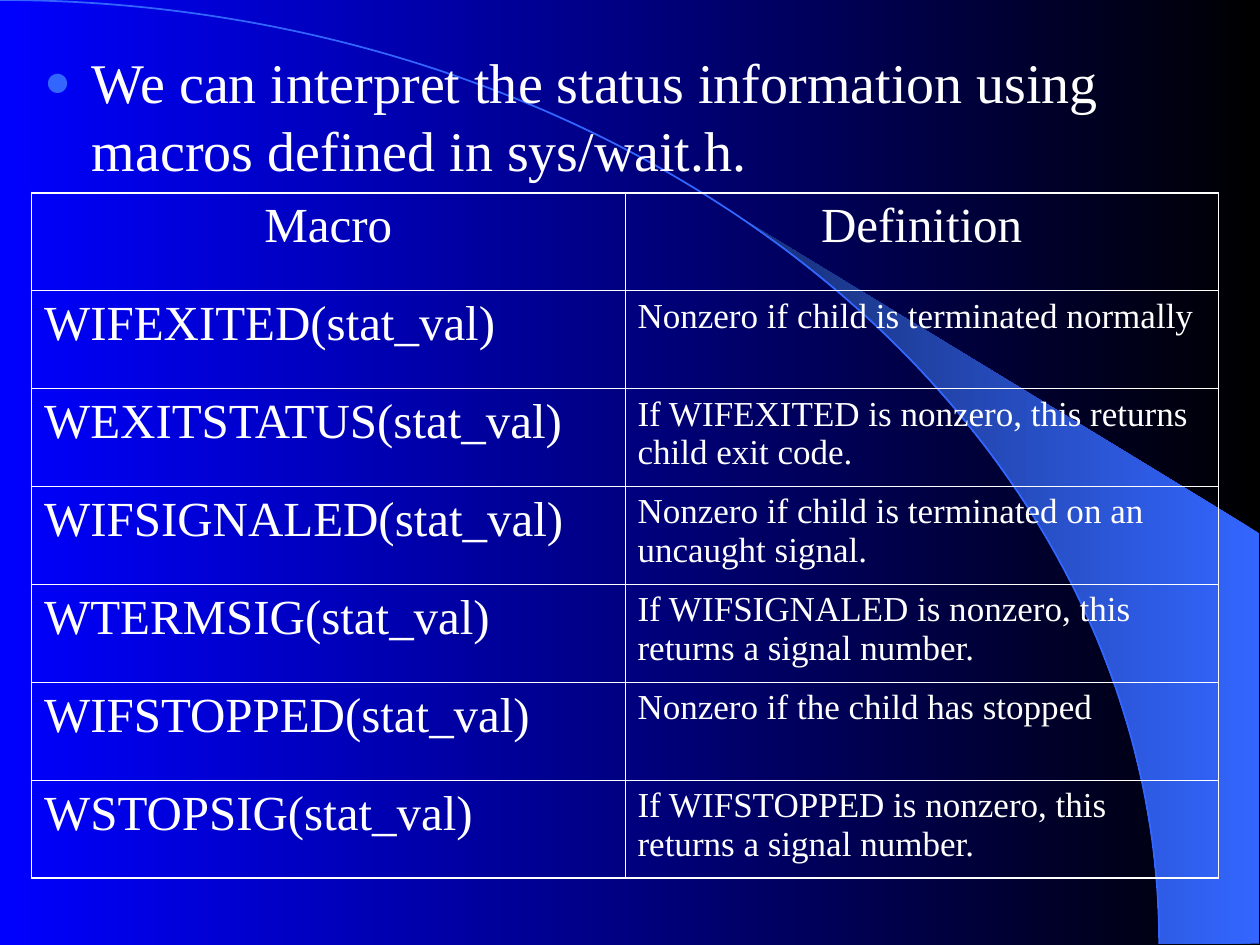
from math import cos, radians, sin

from lxml.etree import SubElement
from pptx import Presentation
from pptx.dml.color import RGBColor
from pptx.enum.shapes import MSO_SHAPE as Shape
from pptx.enum.text import MSO_ANCHOR as Anchor, MSO_AUTO_SIZE as AutoSize, PP_ALIGN as Align
from pptx.oxml.ns import qn
from pptx.util import Inches, Pt

FONT = "Times New Roman"
COLORS = {"text": "FFFFFF", "accent": "3366FF", "shade": "172F75",
          "night": "000000", "blue": "0000FF"}
OUTER, INNER = Pt(1.08), Pt(0.45)
MACROS = [
    ("WIFEXITED(stat_val)", "Nonzero if child is terminated normally"),
    ("WEXITSTATUS(stat_val)", "If WIFEXITED is nonzero, this returns child exit code."),
    ("WIFSIGNALED(stat_val)", "Nonzero if child is terminated on an uncaught signal."),
    ("WTERMSIG(stat_val)", "If WIFSIGNALED is nonzero, this returns a signal number."),
    ("WIFSTOPPED(stat_val)", "Nonzero if the child has stopped"),
    ("WSTOPSIG(stat_val)", "If WIFSTOPPED is nonzero, this returns a signal number."),
]


def rgb(name):
    return RGBColor.from_string(COLORS[name])


def set_gradient(fill, start, end):
    fill.gradient()
    fill.gradient_angle = 180
    for stop, name, position in zip(fill.gradient_stops, (start, end), (0, 1)):
        stop.color.rgb = rgb(name)
        stop.position = position


def add_bullet(paragraph):
    props = paragraph._p.get_or_add_pPr()
    props.set("marL", str(Inches(0.38)))
    props.set("indent", str(-Inches(0.38)))
    color = SubElement(props, qn("a:buClr"))
    SubElement(color, qn("a:srgbClr"), val=COLORS["accent"])
    SubElement(props, qn("a:buSzPct"), val="80000")
    SubElement(props, qn("a:buFont"), typeface=FONT)
    SubElement(props, qn("a:buChar"), char="●")


def write(frame, text, size, align=Align.LEFT, bullet=False):
    frame.word_wrap = True
    paragraph = frame.paragraphs[0]
    paragraph.alignment = align
    paragraph.space_before = Pt(0)
    if bullet:
        add_bullet(paragraph)
    run = paragraph.add_run()
    run.text = text
    run.font.name = FONT
    run.font.size = Pt(size)
    run.font.color.rgb = rgb("text")


def set_borders(cell, widths):
    props = cell._tc.get_or_add_tcPr()
    for position, (side, width) in enumerate(zip("LRTB", widths)):
        line = SubElement(props, qn(f"a:ln{side}"), w=str(width))
        fill = SubElement(line, qn("a:solidFill"))
        SubElement(fill, qn("a:srgbClr"), val=COLORS["text"])
        props.insert(position, line)


def draw_backdrop(slide, left, top, width, height):
    """Quarter ellipse over the box, with a beam from its edge to the right."""
    set_gradient(slide.background.fill, "night", "blue")

    # Beam: its inner edge follows the ellipse
    steps = 16
    angles = [radians(39.8 + (90 - 39.8) * i / steps) for i in range(steps + 1)]
    edge = [(left + width * sin(a), top + height * (1 - cos(a))) for a in angles]
    right = left + Inches(9.99)
    builder = slide.shapes.build_freeform(*edge[0])
    builder.add_line_segments(edge[1:] + [(right, top + height),
                                          (right, top + Inches(4.23))])
    beam = builder.convert_to_shape()
    beam.shadow.inherit = False
    set_gradient(beam.fill, "accent", "shade")
    beam.line.fill.background()

    # Curve: the arc preset draws the upper right quarter
    curve = slide.shapes.add_shape(Shape.ARC, left - width, top, 2 * width, 2 * height)
    curve.shadow.inherit = False
    curve.fill.background()
    curve.line.color.rgb = rgb("accent")
    curve.line.width = Pt(1)


def place_statement(slide, left, top, width, height):
    statement = slide.placeholders[1]
    slide.shapes._spTree.append(statement._element)  # in front of the backdrop
    statement.left, statement.top = left, top
    statement.width, statement.height = width, height
    frame = statement.text_frame
    frame.auto_size = AutoSize.NONE
    frame.vertical_anchor = Anchor.TOP
    write(frame, "We can interpret the status information using macros defined in sys/wait.h.",
          size=32, bullet=True)


def add_macro_table(slide, left, top, width, height):
    rows = [("Macro", "Definition")] + MACROS
    table = slide.shapes.add_table(len(rows), 2, left, top, width, height).table
    table.first_row = table.horz_banding = False
    last = len(rows) - 1
    for r, row in enumerate(rows):
        for c, text in enumerate(row):
            cell = table.cell(r, c)
            write(cell.text_frame, text, size=20 if r and c else 28,
                  align=Align.LEFT if r else Align.CENTER)
            cell.fill.background()
            outer_sides = (c == 0, c == 1, r == 0, r == last)
            set_borders(cell, [OUTER if outer else INNER for outer in outer_sides])


def main():
    deck = Presentation()
    deck.slide_width, deck.slide_height = Inches(10), Inches(7.5)
    slide = deck.slides.add_slide(deck.slide_layouts[1])
    title = slide.shapes.title._element
    title.getparent().remove(title)

    draw_backdrop(slide, 0, 0, Inches(9.2), Inches(7.49))
    place_statement(slide, Inches(0.25), Inches(0.33), Inches(9.5), Inches(6.67))
    add_macro_table(slide, Inches(0.25), Inches(1.53), Inches(9.42), Inches(5.44))
    deck.save("out.pptx")


if __name__ == "__main__":
    main()
